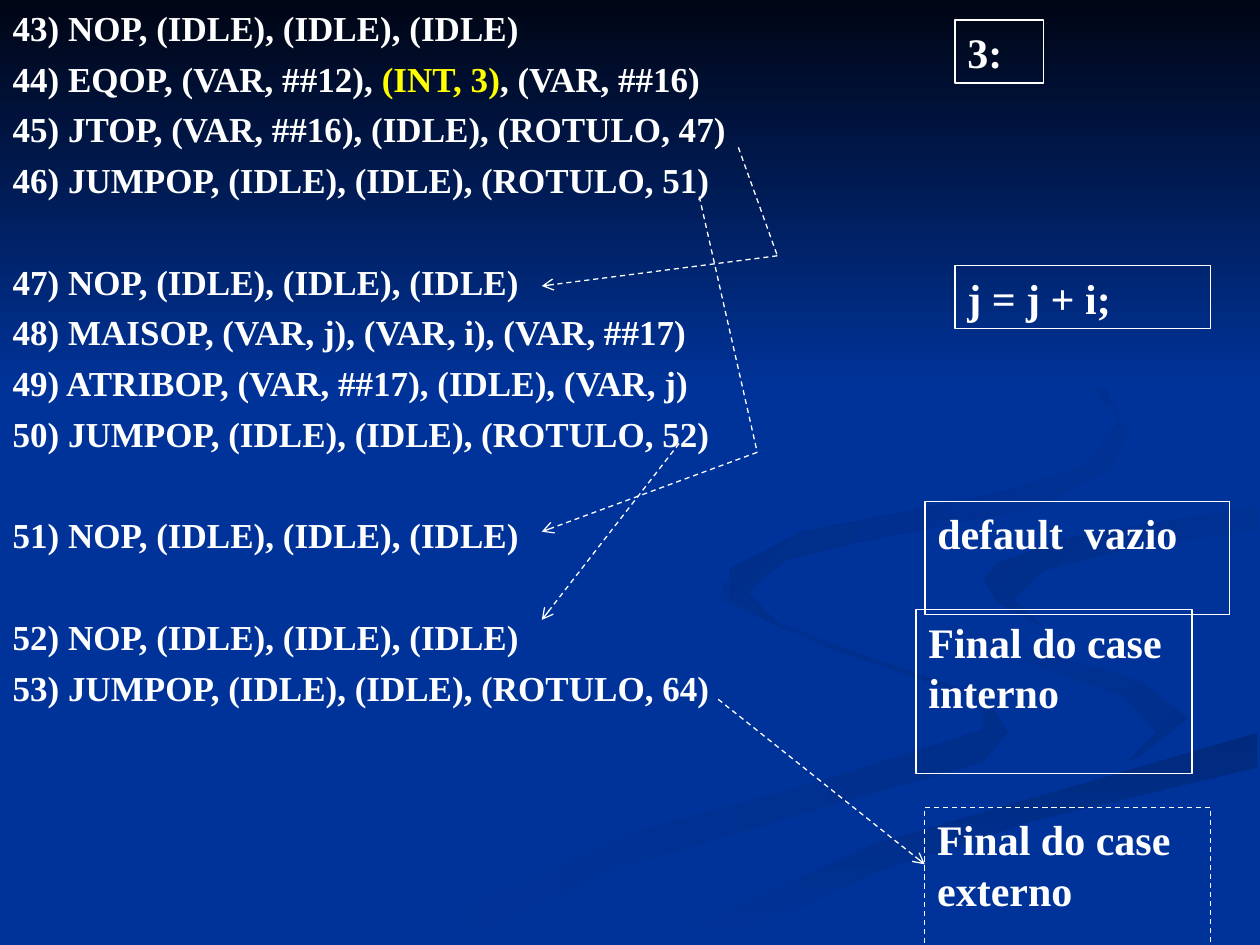
"""Build a slide of intermediate code lines with jump arrows and case labels."""
from lxml import etree
from pptx import Presentation
from pptx.dml.color import RGBColor
from pptx.enum.dml import MSO_LINE
from pptx.enum.shapes import MSO_CONNECTOR, MSO_SHAPE
from pptx.enum.text import MSO_ANCHOR, PP_ALIGN
from pptx.oxml.ns import qn
from pptx.util import Pt

PX = 9144
FONT = "Times New Roman"
DASH = MSO_LINE.DASH
RECTANGLE = MSO_SHAPE.RECTANGLE
STRAIGHT = MSO_CONNECTOR.STRAIGHT
TOP = MSO_ANCHOR.TOP
LEFT = PP_ALIGN.LEFT
COLORS = {
    "background": "003399", "night": "000514", "text": "FFFFFF", "highlight": "FFFF00",
    "tail": "002E8B", "base": "002A7D", "band": "002D86", "swirl": "002B82",
}


def color(name):
    return RGBColor.from_string(COLORS[name])


def paint(shape, start, end, angle):
    shape.shadow.inherit = False
    shape.line.fill.background()
    shape.fill.gradient()
    shape.fill.gradient_angle = angle
    for stop, name in zip(shape.fill.gradient_stops, (start, end)):
        stop.color.rgb = color(name)
    shape.fill.gradient_stops[0].position = 0
    shape.fill.gradient_stops[1].position = 1


presentation = Presentation()
presentation.slide_width = 1000 * PX
presentation.slide_height = 750 * PX
slide = presentation.slides.add_slide(presentation.slide_layouts[1])
slide.background.fill.solid()
slide.background.fill.fore_color.rgb = color("background")
title = slide.shapes.title
title.element.getparent().remove(title.element)

ribbons = [
    ("background", "tail", 0, [
        (781, 553), (682, 519), (594, 485), (575, 459), (572, 476), (654, 513), (781, 556),
        (780, 579), (652, 620), (499, 661), (300, 749), (361, 749), (499, 687), (676, 634),
        (780, 605), (800, 581)]),
    ("background", "tail", 315, [
        (943, 570), (905, 540), (758, 498), (724, 464), (746, 500), (892, 553), (918, 581),
        (894, 605), (937, 586)]),
    ("base", "background", 270, [
        (503, 749), (571, 749), (695, 692), (821, 651), (998, 609), (998, 581), (867, 620),
        (696, 669), (569, 719)]),
    ("background", "background", 0, [
        (725, 464), (745, 490), (905, 540), (943, 570), (902, 603), (743, 643), (477, 749),
        (519, 747), (696, 669), (999, 581), (999, 538), (848, 503), (781, 463), (822, 434),
        (999, 402), (999, 387), (770, 427)]),
    ("band", "background", 315, [
        (781, 460), (791, 478), (826, 496), (805, 476), (828, 453), (896, 435), (998, 420),
        (998, 402), (849, 427), (791, 447)]),
    ("swirl", "background", 315, [
        (683, 430), (825, 402), (883, 370), (894, 344), (873, 299), (810, 256), (762, 233),
        (846, 279), (889, 335), (861, 370), (791, 392), (637, 422), (580, 451), (580, 474),
        (622, 500), (593, 470), (624, 444)]),
]
for start, end, angle, points in ribbons:
    builder = slide.shapes.build_freeform(*points[0], scale=PX)
    builder.add_line_segments(points[1:], close=True)
    paint(builder.convert_to_shape(), start, end, angle)

sky = slide.shapes.add_shape(RECTANGLE, 0, 0, 1000 * PX, 308 * PX)
paint(sky, "night", "background", 270)

code_lines = [
    (0, ["43) NOP, (IDLE), (IDLE), (IDLE)"]),
    (5, ["44) EQOP, (VAR, ##12), ", "(INT, 3)", ", (VAR, ##16)"]),
    (5, ["45) JTOP, (VAR, ##16), (IDLE), (ROTULO, 47)"]),
    (5, ["46) JUMPOP, (IDLE), (IDLE), (ROTULO, 51)"]),
    (34, ["47) NOP, (IDLE), (IDLE), (IDLE)"]),
    (5, ["48) MAISOP, (VAR, j), (VAR, i), (VAR, ##17)"]),
    (5, ["49) ATRIBOP, (VAR, ##17), (IDLE), (VAR, j)"]),
    (5, ["50) JUMPOP, (IDLE), (IDLE), (ROTULO, 52)"]),
    (34, ["51) NOP, (IDLE), (IDLE), (IDLE)"]),
    (34, ["52) NOP, (IDLE), (IDLE), (IDLE)"]),
    (5, ["53) JUMPOP, (IDLE), (IDLE), (ROTULO, 64)"]),
]
code = slide.placeholders[1]
code.left, code.top, code.width, code.height = 0, 0, 1000 * PX, 750 * PX
code.element.getparent().append(code.element)
frame = code.text_frame
frame.vertical_anchor = TOP
for index, (space, parts) in enumerate(code_lines):
    paragraph = frame.add_paragraph() if index else frame.paragraphs[0]
    paragraph.space_before = Pt(space)
    properties = paragraph._p.get_or_add_pPr()
    properties.set("marL", str(38 * PX))
    properties.set("indent", str(-38 * PX))
    etree.SubElement(properties, qn("a:buNone"))
    paragraph.font.name = FONT
    paragraph.font.size = Pt(20)
    paragraph.font.bold = True
    for part in parts:
        run = paragraph.add_run()
        run.text = part
        run.font.color.rgb = color("highlight" if part == "(INT, 3)" else "text")

labels = [
    ("3:", 758, 16, 70, 50, False),
    ("j = j + i;", 758, 211, 203, 50, False),
    ("default  vazio", 734, 398, 242, 90, False),
    ("Final do case interno", 727, 484, 219, 130, False),
    ("Final do case externo", 734, 641, 227, 130, True),
]
for text, left, top, width, height, dashed in labels:
    label = slide.shapes.add_shape(RECTANGLE, left * PX, top * PX, width * PX, height * PX)
    label.shadow.inherit = False
    label.fill.background()
    label.line.color.rgb = color("text")
    label.line.width = Pt(0.75)
    if dashed:
        label.line.dash_style = DASH
    label.text_frame.word_wrap = True
    label.text_frame.vertical_anchor = TOP
    paragraph = label.text_frame.paragraphs[0]
    paragraph.text = text
    paragraph.alignment = LEFT
    paragraph.font.name = FONT
    paragraph.font.size = Pt(24)
    paragraph.font.bold = True
    paragraph.font.color.rgb = color("text")

jumps = [
    [(586, 117), (617, 203), (430, 227)],
    [(555, 156), (601, 359), (430, 422)],
    [(539, 352), (430, 492)],
    [(570, 555), (734, 686)],
]
for stops in jumps:
    for start, end in zip(stops, stops[1:]):
        ends = [value * PX for value in start + end]
        connector = slide.shapes.add_connector(STRAIGHT, *ends)
        connector.line.color.rgb = color("text")
        connector.line.width = Pt(0.75)
        connector.line.dash_style = DASH
        if end == stops[-1]:
            etree.SubElement(connector.line._get_or_add_ln(), qn("a:tailEnd"), type="arrow")
        etree.SubElement(connector.element.spPr, qn("a:effectLst"))

presentation.save("out.pptx")
